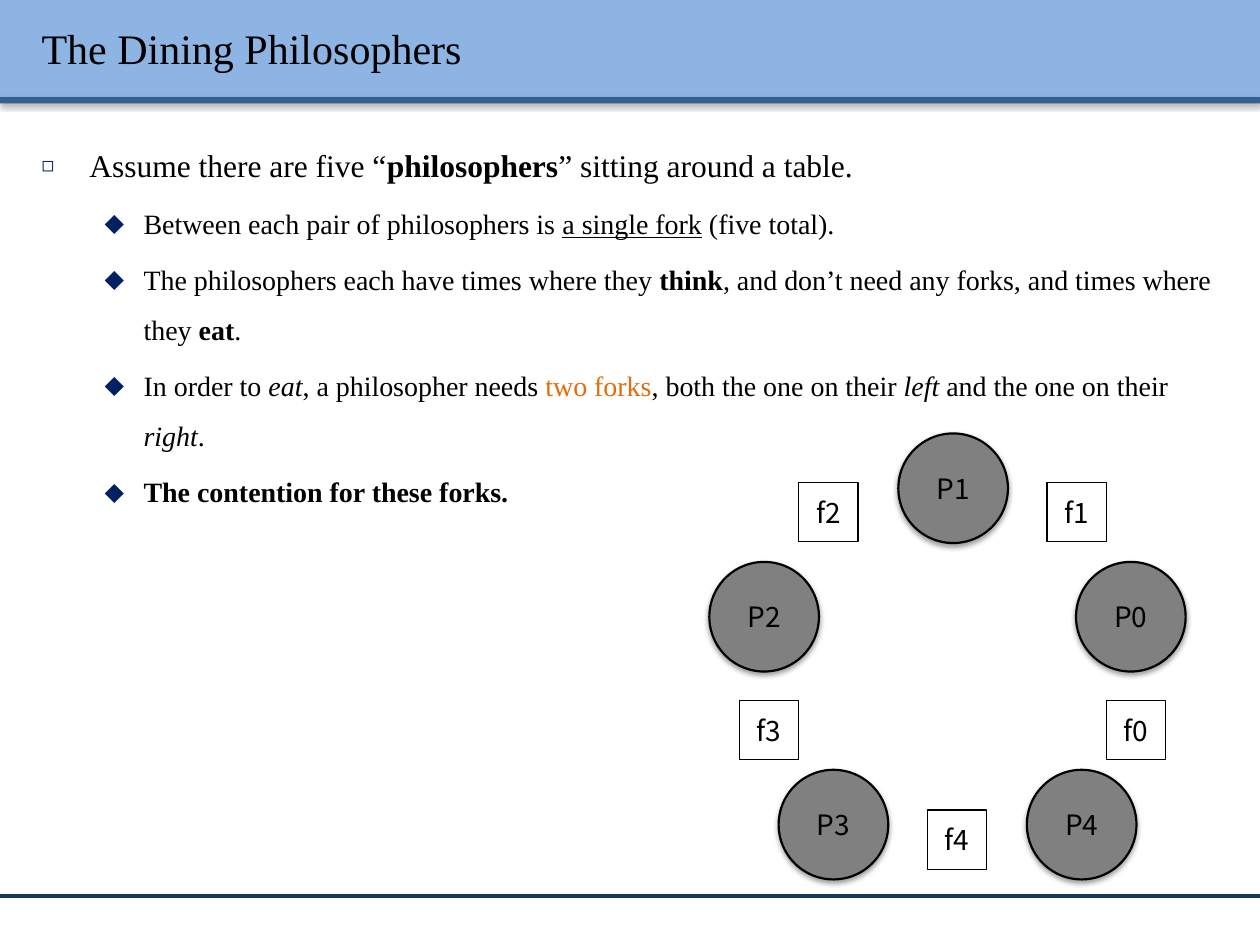
from lxml.etree import SubElement
from pptx import Presentation
from pptx.dml.color import RGBColor
from pptx.enum.shapes import MSO_CONNECTOR, MSO_SHAPE
from pptx.enum.text import MSO_ANCHOR, MSO_AUTO_SIZE, PP_ALIGN
from pptx.oxml.ns import qn
from pptx.util import Inches, Pt

COLORS = {
    "black": "000000", "white": "FFFFFF", "gray": "808080",
    "band": "8EB4E3", "rule": "376092", "footer": "17375E",
    "bullet": "002060", "accent": "E46C0A",
}
SERIF = "Times New Roman"
SANS = "Noto Sans CJK KR"

# Bullet levels: character, size in percent, left margin, hanging indent, text size
LEVELS = [("◻", 65, 0.38, 0.38, 18), ("⬥", 100, 0.81, 0.31, 16)]
BOLD, ITALIC = {"bold": True}, {"italic": True}
BODY = [
    (0, [("Assume there are five “", {}), ("philosophers", BOLD),
         ("” sitting around a table.", {})]),
    (1, [("Between each pair of philosophers is ", {}),
         ("a single fork", {"underline": True}), (" (five total).", {})]),
    (1, [("The philosophers each have times where they ", {}), ("think", BOLD),
         (", and don’t need any forks, and times where they ", {}),
         ("eat", BOLD), (".", {})]),
    (1, [("In order to ", {}), ("eat", ITALIC), (", a philosopher needs ", {}),
         ("two forks", {"color": "accent"}), (", both the one on their ", {}),
         ("left", ITALIC), (" and the one on their ", {}), ("right", ITALIC),
         (".", {})]),
    (1, [("The contention for these forks.", BOLD)]),
]

# Offsets from the top left corner of the table diagram
PHILOSOPHERS = {"P1": (1.5, 0), "P0": (2.91, 1.02), "P4": (2.52, 2.67),
                "P3": (0.55, 2.67), "P2": (0, 1.02)}
FORKS = {"f1": (2.68, 0.39), "f0": (3.15, 2.12), "f4": (1.73, 2.99),
         "f3": (0.24, 2.12), "f2": (0.71, 0.39)}


def rgb(name):
    return RGBColor.from_string(COLORS[name])


def add_text(p, text, size=16, font=SERIF, color="black", bold=False,
             italic=False, underline=False):
    r = p.add_run()
    r.text = text
    f = r.font
    f.size, f.name, f.bold, f.italic, f.underline = Pt(size), font, bold, italic, underline
    f.color.rgb = rgb(color)
    return r


def add_shadow(effects):
    shadow = SubElement(effects, qn("a:outerShdw"), blurRad=str(Pt(3.1)),
                        dist=str(Pt(1.6)), dir="5400000", rotWithShape="0")
    color = SubElement(shadow, qn("a:srgbClr"), val=COLORS["black"])
    SubElement(color, qn("a:alpha"), val="38000")


def add_box(s, kind, box, fill, line=None, shadow=True):
    sp = s.shapes.add_shape(kind, *map(Inches, box))
    sp.fill.solid()
    sp.fill.fore_color.rgb = rgb(fill)
    if line:
        sp.line.color.rgb = rgb("black")
        sp.line.width = Pt(line)
    else:
        sp.line.fill.background()
    sp.shadow.inherit = False
    if shadow:
        add_shadow(sp._element.spPr.find(qn("a:effectLst")))
    return sp


def place(sp, box):
    sp.left, sp.top, sp.width, sp.height = map(Inches, box)
    tf = sp.text_frame
    tf.word_wrap = True
    tf.auto_size = MSO_AUTO_SIZE.NONE
    return tf


def add_header(s, left, top, width):
    add_box(s, MSO_SHAPE.RECTANGLE, (left, top, width, 0.77), "band")
    add_box(s, MSO_SHAPE.RECTANGLE, (left, top + 0.77, width, 0.05), "rule")
    # Title in front of the band
    title = s.shapes.title
    s.shapes._spTree.append(title._element)
    tf = place(title, (left + 0.23, top + 0.06, width - 0.39, 0.64))
    tf.vertical_anchor = MSO_ANCHOR.MIDDLE
    p = tf.paragraphs[0]
    p.alignment = PP_ALIGN.LEFT
    r = add_text(p, "The Dining Philosophers", size=24)
    # Text shadow, which follows the fill of the run
    effects = SubElement(r.font._element, qn("a:effectLst"))
    add_shadow(effects)
    r.font._element.find(qn("a:solidFill")).addnext(effects)


def add_footer(s, left, top, width):
    line = s.shapes.add_connector(MSO_CONNECTOR.STRAIGHT, Inches(left), Inches(top),
                                  Inches(left + width), Inches(top))
    line.line.color.rgb = rgb("footer")
    line.line.width = Pt(2)
    SubElement(line._element.spPr, qn("a:effectLst"))


def set_bullet(p, char, percent, margin, hanging):
    pPr = p._p.get_or_add_pPr()
    pPr.set("marL", str(Inches(margin)))
    pPr.set("indent", str(-Inches(hanging)))
    color = SubElement(pPr, qn("a:buClr"))
    SubElement(color, qn("a:srgbClr"), val=COLORS["bullet"])
    SubElement(pPr, qn("a:buSzPct"), val=str(percent * 1000))
    SubElement(pPr, qn("a:buChar"), char=char)


def add_body(s, box):
    tf = place(s.placeholders[1], box)
    for i, (level, runs) in enumerate(BODY):
        *bullet, size = LEVELS[level]
        p = tf.add_paragraph() if i else tf.paragraphs[0]
        p.level = level
        set_bullet(p, *bullet)
        p.line_spacing = 1.5
        p.space_before = Pt(0.2 * size if i else 0)
        for text, fmt in runs:
            add_text(p, text, size=size, **fmt)


def add_seats(s, left, top, seats, kind, size, fill, line, shadow):
    for name, (dx, dy) in seats.items():
        sp = add_box(s, kind, (left + dx, top + dy, size, size), fill, line, shadow)
        tf = sp.text_frame
        tf.margin_left = tf.margin_right = Inches(0.04)
        tf.vertical_anchor = MSO_ANCHOR.MIDDLE
        p = tf.paragraphs[0]
        p.alignment = PP_ALIGN.CENTER
        add_text(p, name, font=SANS)


def add_table_diagram(s, left, top):
    add_seats(s, left, top, PHILOSOPHERS, MSO_SHAPE.OVAL, 0.87, "gray", 1.25, True)
    add_seats(s, left, top, FORKS, MSO_SHAPE.RECTANGLE, 0.47, "white", 0.75, False)


def main():
    prs = Presentation()
    prs.slide_width, prs.slide_height = Inches(10), Inches(7.5)
    s = prs.slides.add_slide(prs.slide_layouts[1])
    add_header(s, 0, 0, 10)
    add_footer(s, 0, 7.11, 10)
    add_body(s, (0.23, 0.96, 9.61, 6.02))
    add_table_diagram(s, 5.63, 3.44)
    prs.save("out.pptx")


if __name__ == "__main__":
    main()
